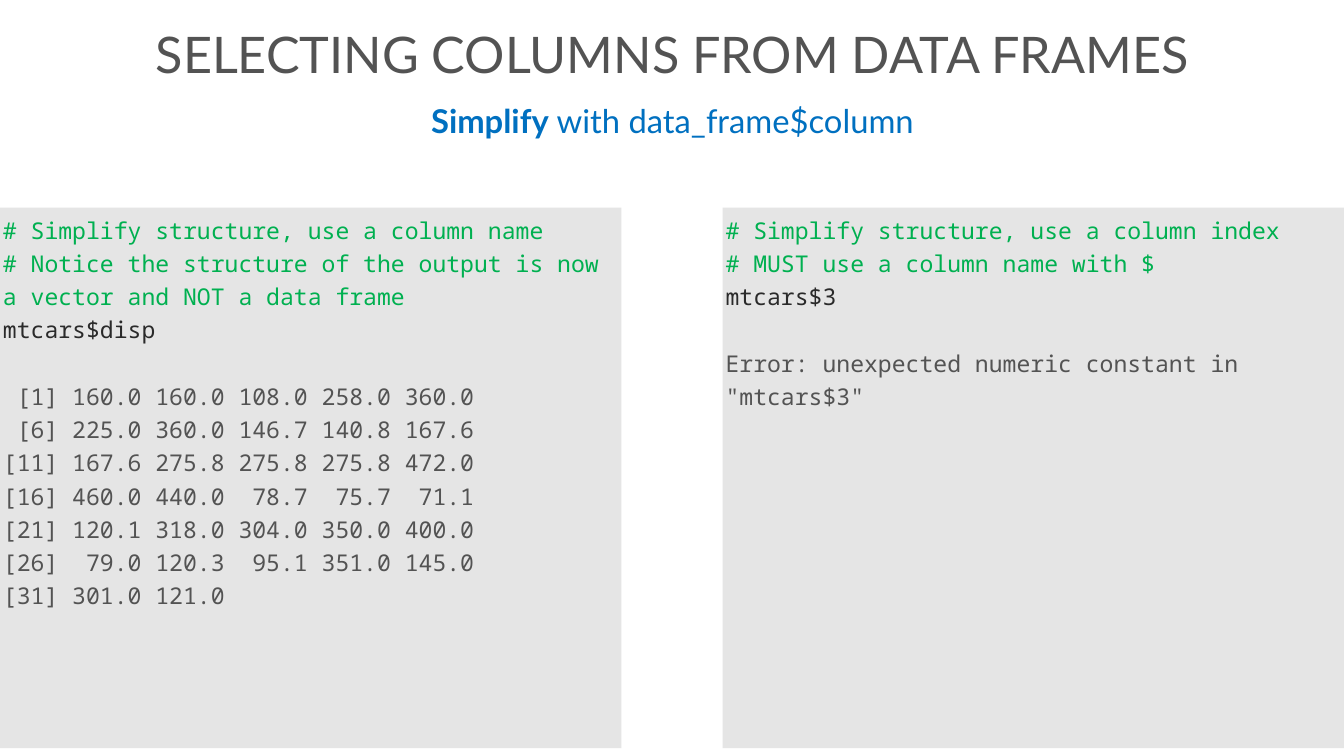
"""Build a slide comparing two ways of selecting a data frame column with $."""
from dataclasses import dataclass

from pptx import Presentation
from pptx.dml.color import RGBColor
from pptx.enum.shapes import MSO_SHAPE
from pptx.enum.text import MSO_ANCHOR, PP_ALIGN
from pptx.util import Cm, Pt


@dataclass(frozen=True)
class Theme:
    heading_font: str = "Lato"
    code_font: str = "Noto Sans Mono"
    title_size: float = 72
    subtitle_size: float = 46.8
    code_size: float = 33
    code_pitch: float = 47.5
    title: str = "535353"
    accent: str = "0070C0"
    comment: str = "00B050"
    command: str = "2A2A2A"
    output: str = "535353"
    panel: str = "E5E5E5"


@dataclass(frozen=True)
class CodePanel:
    left: float
    comments: tuple[str, ...]
    command: str
    output: tuple[str, ...]


THEME = Theme()
SLIDE_WIDTH, SLIDE_HEIGHT = 67.74, 38.1
PANEL_TOP, PANEL_WIDTH, PANEL_HEIGHT = 10.46, 31.32, 27.25
HEADING_LEFT, HEADING_WIDTH = 1.88, 64.03
INSET = 0.15

PANELS = (
    CodePanel(
        0,
        ("# Simplify structure, use a column name",
         "# Notice the structure of the output is now a vector and NOT a data frame"),
        "mtcars$disp",
        (" [1] 160.0 160.0 108.0 258.0 360.0",
         " [6] 225.0 360.0 146.7 140.8 167.6",
         "[11] 167.6 275.8 275.8 275.8 472.0",
         "[16] 460.0 440.0  78.7  75.7  71.1",
         "[21] 120.1 318.0 304.0 350.0 400.0",
         "[26]  79.0 120.3  95.1 351.0 145.0",
         "[31] 301.0 121.0"),
    ),
    CodePanel(
        SLIDE_WIDTH - PANEL_WIDTH,
        ("# Simplify structure, use a column index", "# MUST use a column name with $"),
        "mtcars$3",
        ('Error: unexpected numeric constant in "mtcars$3"',),
    ),
)


def add_text(para, text: str, *, font: str, size: float, color: str, bold: bool = False) -> None:
    """Append a formatted span to a paragraph."""
    span = para.add_run()
    span.text = text
    span.font.name = font
    span.font.size = Pt(size)
    span.font.bold = bold
    span.font.color.rgb = RGBColor.from_string(color)


def prepare_frame(box, anchor: MSO_ANCHOR):
    """Set wrapping, insets and anchor, and return the text frame."""
    frame = box.text_frame
    frame.word_wrap = True
    frame.vertical_anchor = anchor
    frame.margin_left = frame.margin_right = Cm(INSET)
    frame.margin_top = frame.margin_bottom = Cm(INSET)
    return frame


def add_heading(page, top: float, height: float, spans: tuple[tuple[str, bool], ...],
                *, size: float, color: str) -> None:
    """Add a centred heading made of plain and bold spans."""
    box = page.shapes.add_textbox(Cm(HEADING_LEFT), Cm(top), Cm(HEADING_WIDTH), Cm(height))
    para = prepare_frame(box, MSO_ANCHOR.MIDDLE).paragraphs[0]
    para.alignment = PP_ALIGN.CENTER
    for text, bold in spans:
        add_text(para, text, font=THEME.heading_font, size=size, color=color, bold=bold)


def add_code_panel(page, panel: CodePanel) -> None:
    """Add a grey panel with comments, a command and its output."""
    box = page.shapes.add_shape(MSO_SHAPE.RECTANGLE, Cm(panel.left), Cm(PANEL_TOP),
                                Cm(PANEL_WIDTH), Cm(PANEL_HEIGHT))
    box.shadow.inherit = False
    box.fill.solid()
    box.fill.fore_color.rgb = RGBColor.from_string(THEME.panel)
    box.line.fill.background()
    frame = prepare_frame(box, MSO_ANCHOR.TOP)
    lines = [(text, THEME.comment) for text in panel.comments]
    lines.append((panel.command, THEME.command))
    first_output = len(lines)
    lines += [(text, THEME.output) for text in panel.output]
    for index, (text, color) in enumerate(lines):
        para = frame.add_paragraph() if index else frame.paragraphs[0]
        para.alignment = PP_ALIGN.LEFT
        para.line_spacing = Pt(THEME.code_pitch)
        if index == first_output:
            para.space_before = Pt(THEME.code_pitch)
        add_text(para, text, font=THEME.code_font, size=THEME.code_size, color=color)


def main() -> None:
    """Create the deck and save it."""
    deck = Presentation()
    deck.slide_width, deck.slide_height = Cm(SLIDE_WIDTH), Cm(SLIDE_HEIGHT)
    page = deck.slides.add_slide(deck.slide_layouts[6])
    add_heading(page, 0.99, 3.38, (("SELECTING COLUMNS FROM DATA FRAMES", False),),
                size=THEME.title_size, color=THEME.title)
    add_heading(page, 4.37, 3.4, (("Simplify", True), (" with data_frame$column", False)),
                size=THEME.subtitle_size, color=THEME.accent)
    for panel in PANELS:
        add_code_panel(page, panel)
    deck.save("out.pptx")


main()
